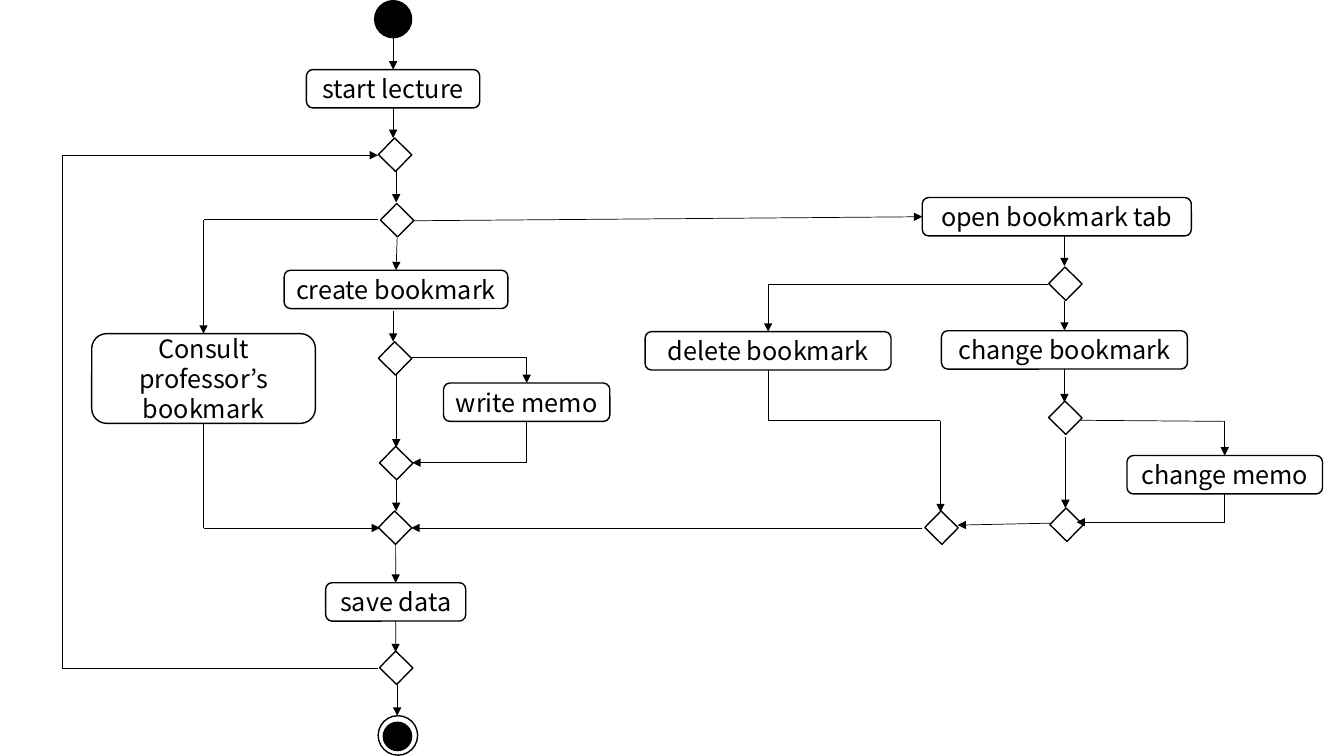
"""Build the activity diagram of a lecture bookmark tool."""
from lxml import etree
from pptx import Presentation
from pptx import util as u
from pptx.dml.color import RGBColor
from pptx.enum import shapes, text
from pptx.oxml.ns import qn

COLORS = {"ink": "000000"}
TOP, LEFT, BOTTOM, RIGHT = range(4)


class Diagram:
    """Hold the style and the current slide, and draw each kind of element."""

    def __init__(self, s):
        """Keep the slide and the shared style."""
        self.s = s
        self.ink = RGBColor.from_string(COLORS["ink"])
        self.font = "Noto Sans CJK KR"

    def shape(self, kind, x, y, w, h, fill=False, line=1):
        """Add a preset shape with an outline and an optional solid fill."""
        sp = self.s.shapes.add_shape(kind, *map(u.Pt, (x, y, w, h)))
        sp.shadow.inherit = False
        if fill:
            sp.fill.solid()
            sp.fill.fore_color.rgb = self.ink
        else:
            sp.fill.background()
        if line:
            sp.line.color.rgb = self.ink
            sp.line.width = u.Pt(line)
        else:
            sp.line.fill.background()
        return sp

    def put_text(self, sp, label, size=18, align=text.PP_ALIGN.CENTER):
        """Put one formatted paragraph in a shape."""
        tf = sp.text_frame
        tf.word_wrap = True
        tf.vertical_anchor = text.MSO_ANCHOR.MIDDLE
        p = tf.paragraphs[0]
        p.alignment = align
        r = p.add_run()
        r.text = label
        r.font.size = u.Pt(size)
        r.font.name = self.font
        r.font.color.rgb = self.ink

    def action(self, label, x, y, w, h=27.4):
        """Add a rounded action box."""
        sp = self.shape(shapes.MSO_SHAPE.ROUNDED_RECTANGLE, x, y, w, h)
        self.put_text(sp, label)
        return sp

    def decision(self, cx, cy, w=17.2, h=16.6):
        """Add a decision diamond around a centre."""
        sp = self.shape(shapes.MSO_SHAPE.RECTANGLE, cx - w / 2, cy - h / 2, w, h)
        sp.rotation = 44.5

    def circle(self, cx, cy, d, **style):
        """Add a circle around a centre."""
        self.shape(shapes.MSO_SHAPE.OVAL, cx - d / 2, cy - d / 2, d, d, **style)

    def flow(self, *stops):
        """Join stops, each a point or a (shape, side) pair, with a final arrow."""
        for i, (a, b) in enumerate(zip(stops, stops[1:]), 2):
            ends = [(0, 0) if hasattr(e[0], "shape_id") else e for e in (a, b)]
            c = self.s.shapes.add_connector(
                shapes.MSO_CONNECTOR.STRAIGHT, *[u.Pt(v) for e in ends for v in e])
            if hasattr(a[0], "shape_id"):
                c.begin_connect(*a)
            if hasattr(b[0], "shape_id"):
                c.end_connect(*b)
            c.line.color.rgb = self.ink
            c.line.width = u.Pt(0.5)
            spPr = c.element.spPr
            if i == len(stops):
                etree.SubElement(spPr.find(qn("a:ln")), qn("a:tailEnd"), type="triangle")
            etree.SubElement(spPr, qn("a:effectLst"))


def main():
    """Draw the diagram and save it."""
    prs = Presentation()
    prs.slide_width, prs.slide_height = u.Pt(960), u.Pt(540)
    d = Diagram(prs.slides.add_slide(prs.slide_layouts[6]))

    d.circle(280.8, 13.7, 27.4, fill=True, line=0)
    d.circle(284.2, 525.3, 28.2)
    d.circle(283.9, 526, 20.2, fill=True)

    start = d.action("start lecture", 218.9, 49.7, 123.8)
    create = d.action("create bookmark", 203, 193, 159.8)
    save = d.action("save data", 232.6, 416.2, 100.1)
    consult = d.action("Consult professor’s bookmark", 65.5, 238.3, 159.8, 64.1)
    memo = d.action("write memo", 316.8, 273.6, 118.8)
    tab = d.action("open bookmark tab", 658.8, 141.1, 192.2)
    delete = d.action("delete bookmark", 460.8, 236.9, 175.7)
    change = d.action("change bookmark", 672.5, 236.2, 175.7)
    change_memo = d.action("change memo", 805, 325.4, 139.7)

    for cx, cy in [(282.2, 110.5), (283.7, 157.3), (282.2, 256), (283, 330.8),
                   (282.2, 376.9), (283, 477), (761, 202.7), (761, 298.4),
                   (672.5, 376.9), (761.8, 374.8)]:
        d.decision(cx, cy)

    d.flow((280.8, 27.4), (start, TOP))
    d.flow((start, BOTTOM), (280.8, 98.6))
    d.flow((283, 122.4), (283, 144.7))
    d.flow((283.7, 169.9), (create, TOP))
    d.flow((280.8, 222.5), (280.8, 244.1))
    d.flow((283, 267.8), (283, 319.7))
    d.flow((283, 342.7), (283, 365))
    d.flow((282.6, 388.8), (save, TOP))
    d.flow((save, BOTTOM), (282.6, 465.8))
    d.flow((283.7, 489.6), (283.7, 511.2))
    d.flow((270, 477.4), (44.6, 477.4), (44.6, 110.9), (270, 110.9))
    d.flow((270, 157), (145.4, 157), (consult, TOP))
    d.flow((consult, BOTTOM), (145.4, 377.1), (271.4, 377.1))
    d.flow((294.5, 255.6), (376.2, 255.6), (memo, TOP))
    d.flow((memo, BOTTOM), (376.2, 330.5), (294.5, 330.5))

    d.flow((294.5, 157.7), (tab, LEFT))
    d.flow((760.3, 168.5), (760.3, 190.1))
    d.flow((748.8, 203), (548.65, 203), (delete, TOP))
    d.flow((delete, BOTTOM), (548.65, 300.4), (671.8, 300.4), (671.8, 365.8))
    d.flow((760.35, 215.3), (change, TOP))
    d.flow((change, BOTTOM), (760.35, 287.3))
    d.flow((761, 312.5), (761, 362.9))
    d.flow((771.1, 300.2), (874.85, 301), (change_memo, TOP))
    d.flow((change_memo, BOTTOM), (874.85, 373), (769, 373))
    d.flow((750.2, 373.7), (684, 375.1))
    d.flow((658.8, 377.1), (293.8, 377.1))
    prs.save("out.pptx")


if __name__ == "__main__":
    main()
